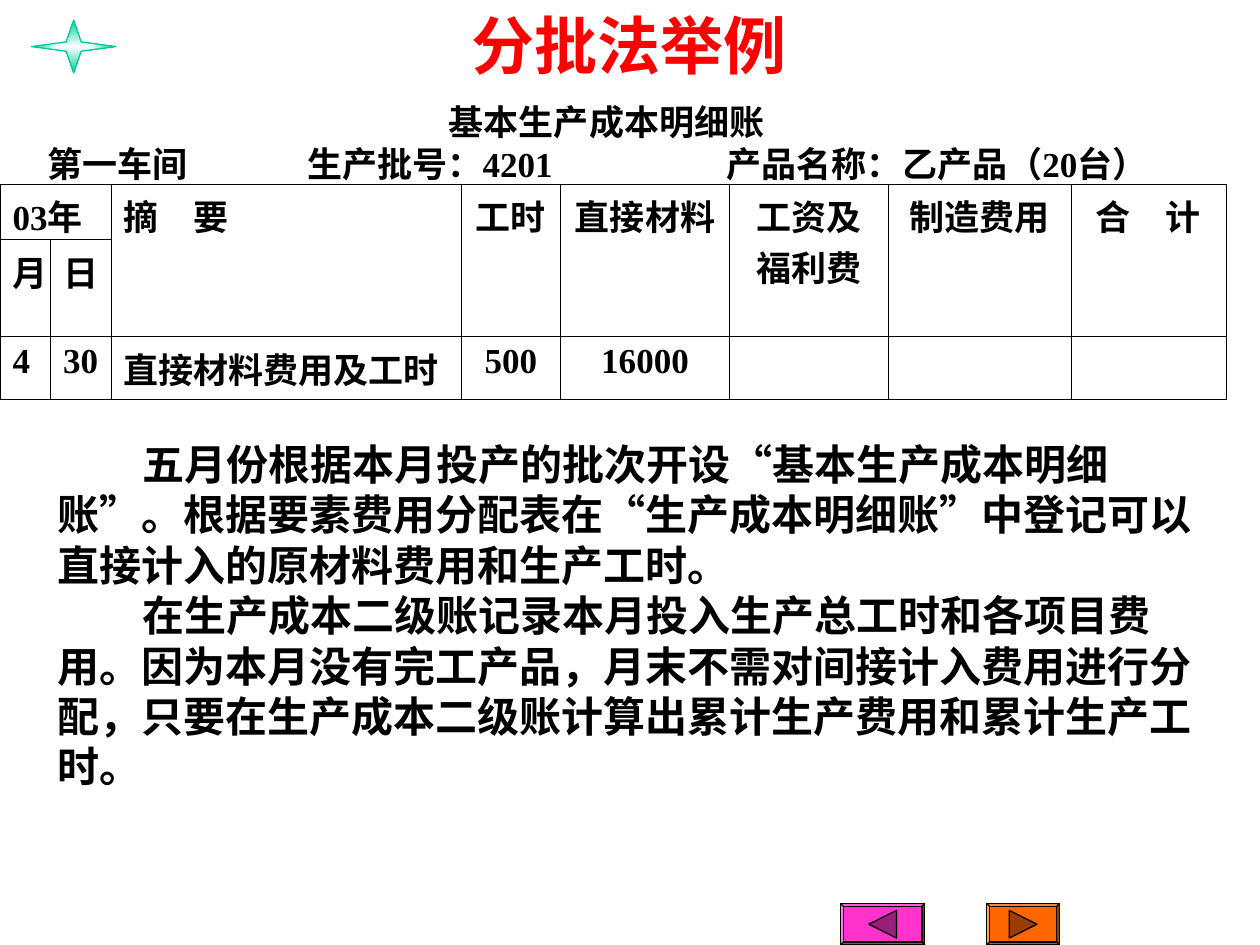
from lxml import etree
from pptx import Presentation
from pptx.dml.color import RGBColor
from pptx.enum.shapes import MSO_SHAPE as Preset
from pptx.enum.text import MSO_ANCHOR as Anchor, PP_ALIGN as Align
from pptx.oxml import parse_xml
from pptx.oxml.ns import nsdecls, qn
from pptx.util import Inches, Pt

FONT = "Times New Roman"
BLACK, RED, GREEN = "000000", "FF0000", "00CC99"

TITLE = "分批法举例"
LEDGER_TITLE = "基本生产成本明细账"
LEDGER_INFO = "第一车间\t生产批号：4201\t产品名称：乙产品（20台）"
INFO_TABS = [2.06, 5.39]
EXPLANATION = [
    "五月份根据本月投产的批次开设“基本生产成本明细账”。根据要素费用分配表在“生产成本明细账”中登记可以直接计入的原材料费用和生产工时。",
    "在生产成本二级账记录本月投入生产总工时和各项目费用。因为本月没有完工产品，月末不需对间接计入费用进行分配，只要在生产成本二级账计算出累计生产费用和累计生产工时。",
]
COLUMNS = [0.4, 0.48, 2.78, 0.79, 1.34, 1.26, 1.45, 1.23]
ROWS = [0.44, 0.77, 0.5]
CELLS = [
    ["03年", "", "摘　要", "工时", "直接材料", "工资及福利费", "制造费用", "合　计"],
    ["月", "日", "", "", "", "", "", ""],
    ["4", "30", "直接材料费用及工时", "500", "16000", "", "", ""],
]
FIRST_CENTRED = 3
# left, width, face colour, arrow colour, direction the arrow points
BUTTONS = [
    (6.67, 0.67, "FF33CC", "991F7A", -1),
    (7.83, 0.58, "FF6600", "993D00", 1),
]
BUTTON_TOP, BUTTON_HEIGHT = 7.17, 0.33


def colour(hex_text):
    return RGBColor.from_string(hex_text)


def format_runs(para, size, hex_text=BLACK):
    for span in para.runs:
        span.font.size, span.font.name, span.font.bold = Pt(size), FONT, True
        span.font.color.rgb = colour(hex_text)


def add_text(page, place, lines, size, hex_text=BLACK, anchor=Anchor.MIDDLE):
    box = page.shapes.add_textbox(*map(Inches, place))
    frame = box.text_frame
    frame.word_wrap, frame.vertical_anchor = True, anchor
    frame.text = "\n".join(lines)
    for para in frame.paragraphs:
        format_runs(para, size, hex_text)
    return frame


def add_tabs(para, stops):
    tab_list = etree.SubElement(para._p.get_or_add_pPr(), qn("a:tabLst"))
    for stop in stops:
        etree.SubElement(tab_list, qn("a:tab"), pos=str(Inches(stop)), algn="l")


def style_shape(shape, fill, line=BLACK, width=0.75):
    shape.shadow.inherit = False
    shape.fill.solid()
    shape.fill.fore_color.rgb = colour(fill)
    shape.line.color.rgb = colour(line)
    shape.line.width = Pt(width)


def add_star(page):
    star = page.shapes.add_shape(Preset.STAR_4_POINT, *map(Inches, (0.25, 0.16, 0.67, 0.42)))
    star.adjustments[0] = 0.125
    style_shape(star, GREEN, GREEN, 0)
    gradient = parse_xml(
        f'<a:gradFill {nsdecls("a")}><a:gsLst>'
        '<a:gs pos="0"><a:srgbClr val="FFFFFF"/></a:gs>'
        f'<a:gs pos="100000"><a:srgbClr val="{GREEN}"/></a:gs></a:gsLst>'
        '<a:path path="rect"><a:fillToRect l="50000" t="50000" r="50000" b="50000"/></a:path>'
        '</a:gradFill>')
    solid = star._element.spPr.find(qn("a:solidFill"))
    solid.getparent().replace(solid, gradient)


def add_button(page, left, width, face, arrow_colour, direction):
    button = page.shapes.add_shape(
        Preset.BEVEL, *map(Inches, (left, BUTTON_TOP, width, BUTTON_HEIGHT)))
    button.adjustments[0] = 0.07
    style_shape(button, face)
    middle_x, middle_y = left + width / 2, BUTTON_TOP + BUTTON_HEIGHT / 2
    half = 0.11
    base = middle_x - direction * half
    builder = page.shapes.build_freeform(
        Inches(base), Inches(middle_y - half), scale=1.0)
    builder.add_line_segments([
        (Inches(middle_x + direction * half), Inches(middle_y)),
        (Inches(base), Inches(middle_y + half))], close=True)
    style_shape(builder.convert_to_shape(), arrow_colour)


def add_borders(cell):
    properties = cell._tc.get_or_add_tcPr()
    for index, side in enumerate(("lnL", "lnR", "lnT", "lnB")):
        properties.insert(index, parse_xml(
            f'<a:{side} {nsdecls("a")} w="{Pt(0.45)}"><a:solidFill>'
            f'<a:srgbClr val="{BLACK}"/></a:solidFill></a:{side}>'))


def add_ledger(page):
    table = page.shapes.add_table(
        len(ROWS), len(COLUMNS), Inches(0), Inches(1.46),
        Inches(sum(COLUMNS)), Inches(sum(ROWS))).table
    table.first_row = table.horz_banding = False
    for column, width in zip(table.columns, COLUMNS):
        column.width = Inches(width)
    for row, height in zip(table.rows, ROWS):
        row.height = Inches(height)
    for r, texts in enumerate(CELLS):
        for c, text in enumerate(texts):
            cell = table.cell(r, c)
            cell.text = text
            cell.fill.background()
            add_borders(cell)
            para = cell.text_frame.paragraphs[0]
            para.alignment = Align.CENTER if c >= FIRST_CENTRED else Align.LEFT
            format_runs(para, 20)
    table.cell(0, 0).merge(table.cell(0, 1))
    for c in range(2, len(COLUMNS)):
        table.cell(0, c).merge(table.cell(1, c))


def main():
    deck = Presentation()
    deck.slide_width, deck.slide_height = Inches(10), Inches(7.5)
    page = deck.slides.add_slide(deck.slide_layouts[6])

    title = add_text(page, (1.38, 0, 7, 0.75), [TITLE], 36, RED, Anchor.TOP)
    title.margin_left = Inches(0.32)
    title.paragraphs[0].alignment = Align.CENTER

    add_star(page)
    for button in BUTTONS:
        add_button(page, *button)

    heading = add_text(page, (0.28, 0.75, 9.07, 0.77), [LEDGER_TITLE, LEDGER_INFO], 20)
    heading.paragraphs[0].alignment = Align.CENTER
    add_tabs(heading.paragraphs[1], INFO_TABS)

    add_ledger(page)

    explanation = add_text(page, (0.36, 3.63, 9.36, 2.5), EXPLANATION, 24)
    for para in explanation.paragraphs:
        properties = para._p.get_or_add_pPr()
        properties.set("indent", str(Inches(0.67)))
        properties.set("hangingPunct", "0")

    deck.save("out.pptx")


if __name__ == "__main__":
    main()
